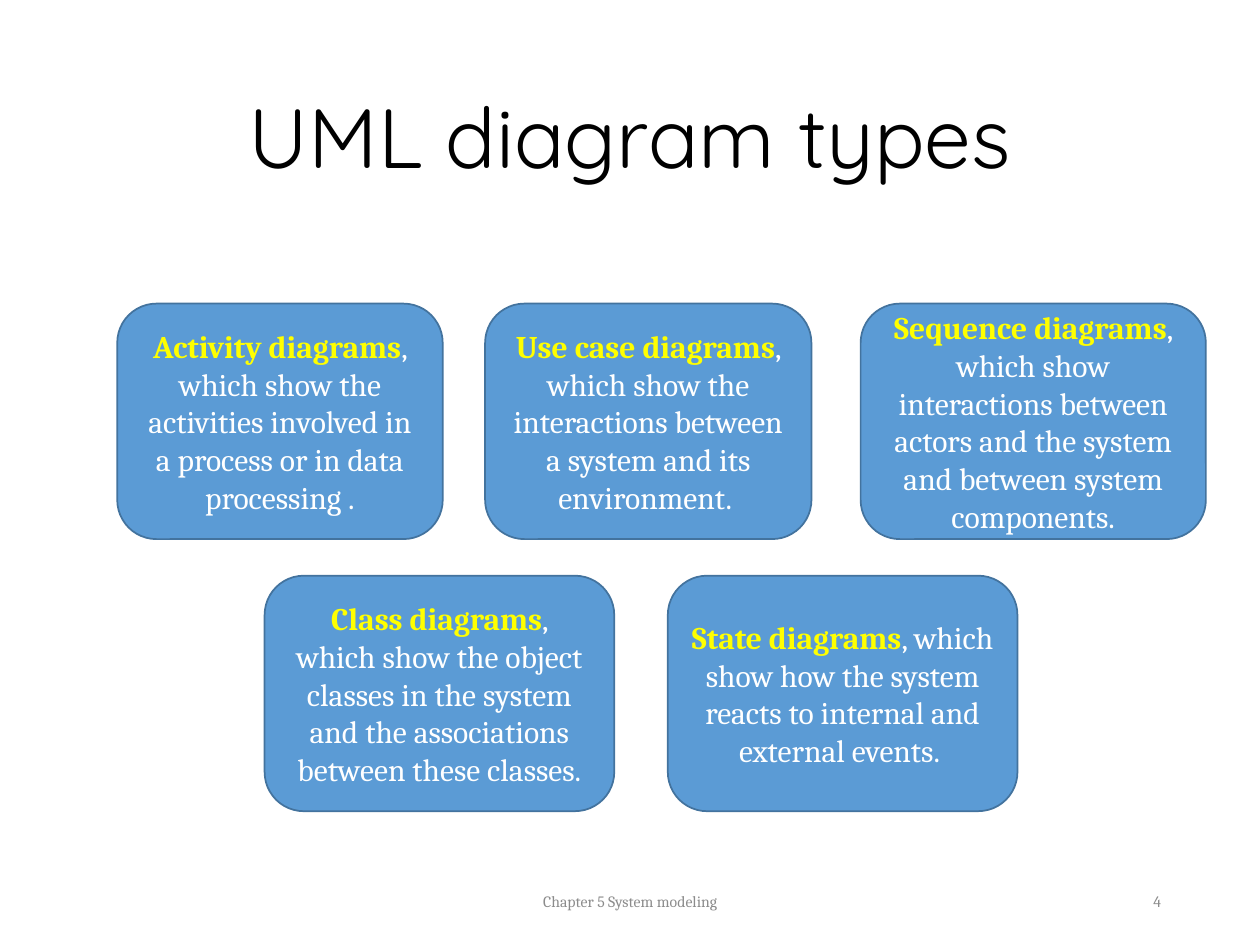
from pptx import Presentation
from pptx.dml.color import RGBColor
from pptx.enum.shapes import MSO_SHAPE as Shape
from pptx.enum.text import MSO_ANCHOR as Anchor, MSO_AUTO_SIZE as AutoSize, PP_ALIGN as Align
from pptx.util import Pt

BODY_FONT, TITLE_FONT = "Cambria", "Quicksand"
CARD_HEIGHT = 134.6

# Each row: top, then (left, width, diagram type, description) per card
ROWS = [
    (173.5, [
        (67, 186, "Activity diagrams",
         ", which show the activities involved in a process or in data processing ."),
        (277.2, 186.5, "Use case diagrams",
         ", which show the interactions between a system and its environment. "),
        (491.8, 197.3, "Sequence diagrams",
         ", which show interactions between actors and the system and between "
         "system components."),
    ]),
    (329, [
        (151.2, 199.8, "Class diagrams",
         ", which show the object classes in the system and the associations "
         "between these classes."),
        (381.6, 199.8, "State diagrams",
         ", which show how the system reacts to internal and external events. "),
    ]),
]


def color(hex_code):
    return RGBColor.from_string(hex_code)


def style(font, name, size, hex_code):
    font.name, font.size = name, Pt(size)
    font.color.rgb = color(hex_code)


def set_title(slide, text):
    title = slide.shapes.title
    title.left, title.top, title.width, title.height = Pt(49.5), Pt(28.8), Pt(621), Pt(104.4)
    frame = title.text_frame
    frame.text = text
    frame.auto_size = AutoSize.NONE
    frame.vertical_anchor = Anchor.MIDDLE
    heading = frame.paragraphs[0]
    heading.alignment, heading.line_spacing = Align.CENTER, 0.9
    style(heading.font, TITLE_FONT, 48, "000000")


def add_card(slide, left, top, width, diagram_type, description):
    card = slide.shapes.add_shape(
        Shape.ROUNDED_RECTANGLE, Pt(left), Pt(top), Pt(width), Pt(CARD_HEIGHT))
    card.shadow.inherit = False
    card.fill.solid()
    card.fill.fore_color.rgb = color("5B9BD5")
    card.line.color.rgb = color("43739E")
    card.line.width = Pt(1)
    frame = card.text_frame
    frame.word_wrap = True
    frame.vertical_anchor = Anchor.MIDDLE
    definition = frame.paragraphs[0]
    definition.alignment = Align.CENTER
    style(definition.font, BODY_FONT, 18, "FFFFFF")
    term = definition.add_run()
    term.text = diagram_type
    term.font.bold = True
    term.font.color.rgb = color("FFFF00")
    definition.add_run().text = description


def add_footer(slide, left, width, text, alignment):
    footer = slide.shapes.add_textbox(Pt(left), Pt(500.4), Pt(width), Pt(28.8))
    frame = footer.text_frame
    frame.word_wrap = True
    frame.vertical_anchor = Anchor.MIDDLE
    frame.text = text
    line = frame.paragraphs[0]
    line.alignment = alignment
    style(line.font, BODY_FONT, 9, "8C8C8C")


def main():
    deck = Presentation()
    deck.slide_width, deck.slide_height = Pt(720), Pt(540)
    slide = deck.slides.add_slide(deck.slide_layouts[5])  # title only

    set_title(slide, "UML diagram types")

    # Chapter name and page number
    add_footer(slide, 238.5, 243, "Chapter 5 System modeling", Align.CENTER)
    add_footer(slide, 508.5, 162, "4", Align.RIGHT)

    # Diagram types
    for top, cards in ROWS:
        for left, width, diagram_type, description in cards:
            add_card(slide, left, top, width, diagram_type, description)

    deck.save("out.pptx")


if __name__ == "__main__":
    main()
